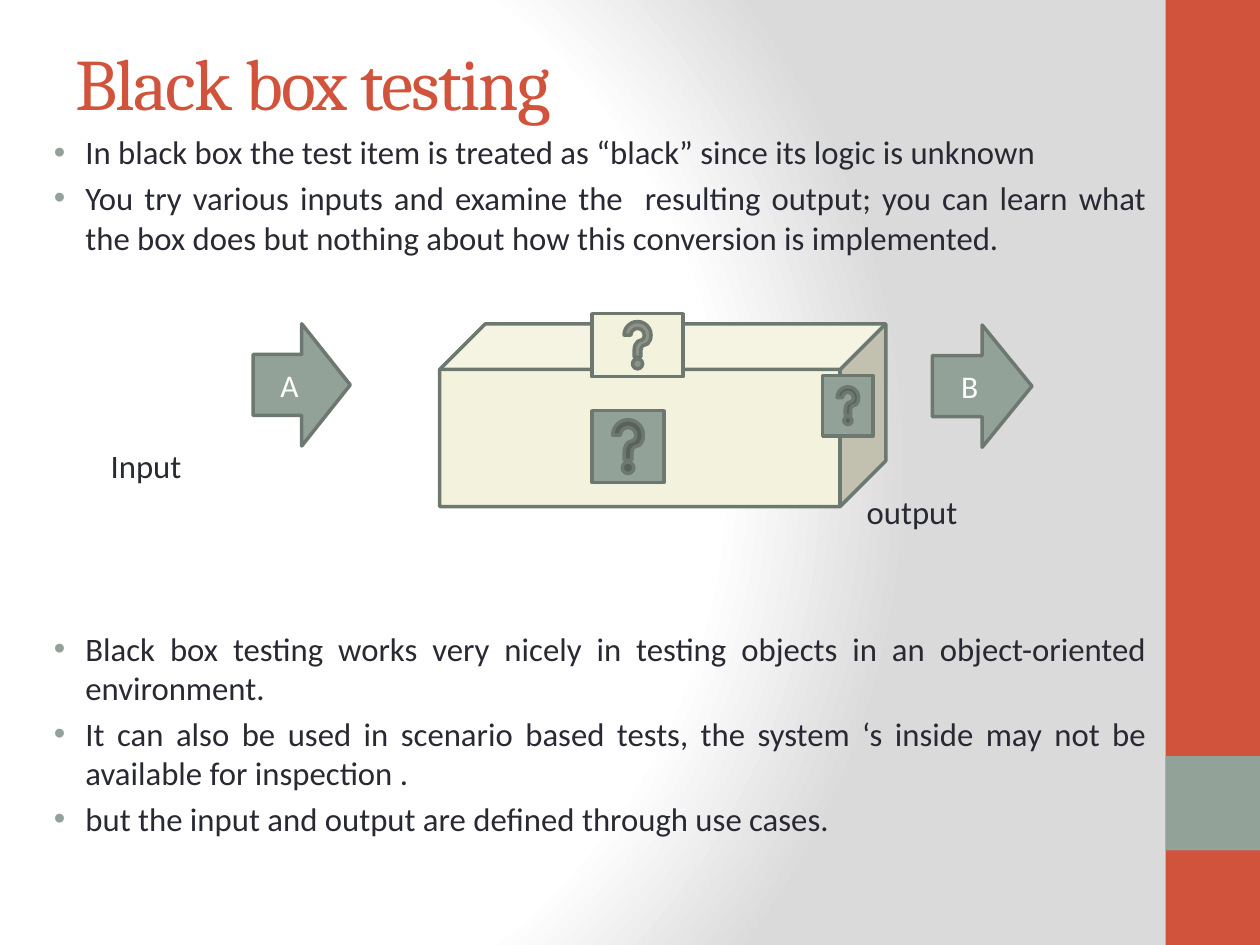
from lxml import etree
from pptx import Presentation
from pptx.dml.color import RGBColor
from pptx.enum.shapes import MSO_SHAPE as Preset
from pptx.enum.text import MSO_ANCHOR as Anchor, PP_ALIGN as Align
from pptx.oxml import parse_xml
from pptx.oxml.ns import nsdecls, qn
from pptx.util import Inches, Pt

RUST, SAGE, CREAM = "D2533C", "93A299", "F3F2DC"
EDGE, INK, WHITE = "6D7871", "292934", "FFFFFF"
BODY_SIZE = 18.7

INTRO = [
    "In black box the test item is treated as “black” since its logic is unknown",
    "You try various inputs and examine the  resulting output; you can learn what "
    "the box does but nothing about how this conversion is implemented.",
]
USES = [
    "Black box testing works very nicely in testing objects in an "
    "object-oriented environment.",
    "It can also be used in scenario based tests, the system ‘s inside may not be "
    "available for inspection .",
    "but the input and output are defined through use cases.",
]


def color(value):
    return RGBColor.from_string(value)


def add_background(page):
    fill = page.background.fill
    fill.solid()
    stops = "".join(
        f'<a:gs pos="{position * 1000}"><a:srgbClr val="{value}"/></a:gs>'
        for position, value in ((0, WHITE), (75, WHITE), (100, "DADADA")))
    gradient = parse_xml(
        f'<a:gradFill rotWithShape="1" {nsdecls("a")}><a:gsLst>{stops}</a:gsLst>'
        '<a:path path="circle"><a:fillToRect l="20000" t="50000" r="100000" '
        'b="50000"/></a:path></a:gradFill>')
    solid = page.element.find(".//" + qn("p:bgPr")).find(qn("a:solidFill"))
    solid.getparent().replace(solid, gradient)


def add_span(para, text, size, value, font="Calibri"):
    span = para.add_run()
    span.text = text
    span.font.size = Pt(size)
    span.font.name = font
    span.font.color.rgb = color(value)
    return span


def add_panel(page, preset, box, fill, line=None):
    shape = page.shapes.add_shape(preset, *map(Inches, box))
    shape.shadow.inherit = False
    shape.fill.solid()
    shape.fill.fore_color.rgb = color(fill)
    if line:
        shape.line.color.rgb = color(line)
        shape.line.width = Pt(2)
    else:
        shape.line.fill.background()
    return shape


def add_frame(page, box):
    frame = page.shapes.add_textbox(*map(Inches, box)).text_frame
    frame.word_wrap = True
    return frame


def add_sidebar(page, left, top, width, height):
    add_panel(page, Preset.RECTANGLE, (left, top, width, height), RUST)
    add_panel(page, Preset.RECTANGLE, (left, top + 6, width, width), SAGE)


def add_title(page, box, text):
    frame = add_frame(page, box)
    frame.vertical_anchor = Anchor.MIDDLE
    span = add_span(frame.paragraphs[0], text, 41.4, RUST, "Cambria")
    span.font._element.set("spc", "-100")


def add_bullets(page, box, items):
    frame = add_frame(page, box)
    for index, item in enumerate(items):
        para = frame.add_paragraph() if index else frame.paragraphs[0]
        para.alignment = Align.JUSTIFY
        if index:
            para.space_before = Pt(BODY_SIZE * 0.2)
        props = para._p.get_or_add_pPr()
        props.set("marL", str(Inches(0.38)))
        props.set("indent", str(Inches(-0.25)))
        bullet_color = etree.SubElement(props, qn("a:buClr"))
        etree.SubElement(bullet_color, qn("a:srgbClr"), val=SAGE)
        etree.SubElement(props, qn("a:buFont"), typeface="Arial")
        etree.SubElement(props, qn("a:buChar"), char="•")
        add_span(para, item, BODY_SIZE, INK)


def add_label(page, box, text):
    add_span(add_frame(page, box).paragraphs[0], text, BODY_SIZE, INK)


def add_arrow(page, box, letter):
    frame = add_panel(page, Preset.RIGHT_ARROW, box, SAGE, EDGE).text_frame
    frame.vertical_anchor = Anchor.MIDDLE
    para = frame.paragraphs[0]
    para.alignment = Align.CENTER
    add_span(para, letter, 18, WHITE)


def add_diagram(page, left, top):
    def place(x, y, width, height):
        return left + x, top + y, width, height

    # Closed box with a question mark on each visible face
    add_panel(page, Preset.CUBE, place(1.48, 0.08, 3.54, 1.45), CREAM, EDGE)
    for box, fill in (((2.69, 0, 0.72, 0.5), CREAM),
                      ((2.69, 0.77, 0.57, 0.57), SAGE),
                      ((4.52, 0.49, 0.4, 0.48), SAGE)):
        add_panel(page, Preset.ACTION_BUTTON_HELP, place(*box), fill, EDGE)

    # Arrows into and out of the box
    add_arrow(page, place(0, 0.08, 0.77, 0.97), "A")
    add_arrow(page, place(5.39, 0.09, 0.79, 0.97), "B")
    add_label(page, place(-1.23, 1.0, 1.2, 0.42), "Input")
    add_label(page, place(4.77, 1.36, 1.3, 0.42), "output")


def main():
    deck = Presentation()
    deck.slide_width, deck.slide_height = Inches(10), Inches(7.5)
    page = deck.slides.add_slide(deck.slide_layouts[6])
    add_background(page)
    add_sidebar(page, 9.25, 0, 0.75, 7.5)
    add_title(page, (0.5, 0.3, 9, 0.69), "Black box testing")
    add_bullets(page, (0.2, 1, 9, 1.15), INTRO)
    add_diagram(page, 2.01, 2.49)
    add_bullets(page, (0.2, 4.94, 9, 1.75), USES)
    deck.save("out.pptx")


if __name__ == "__main__":
    main()
